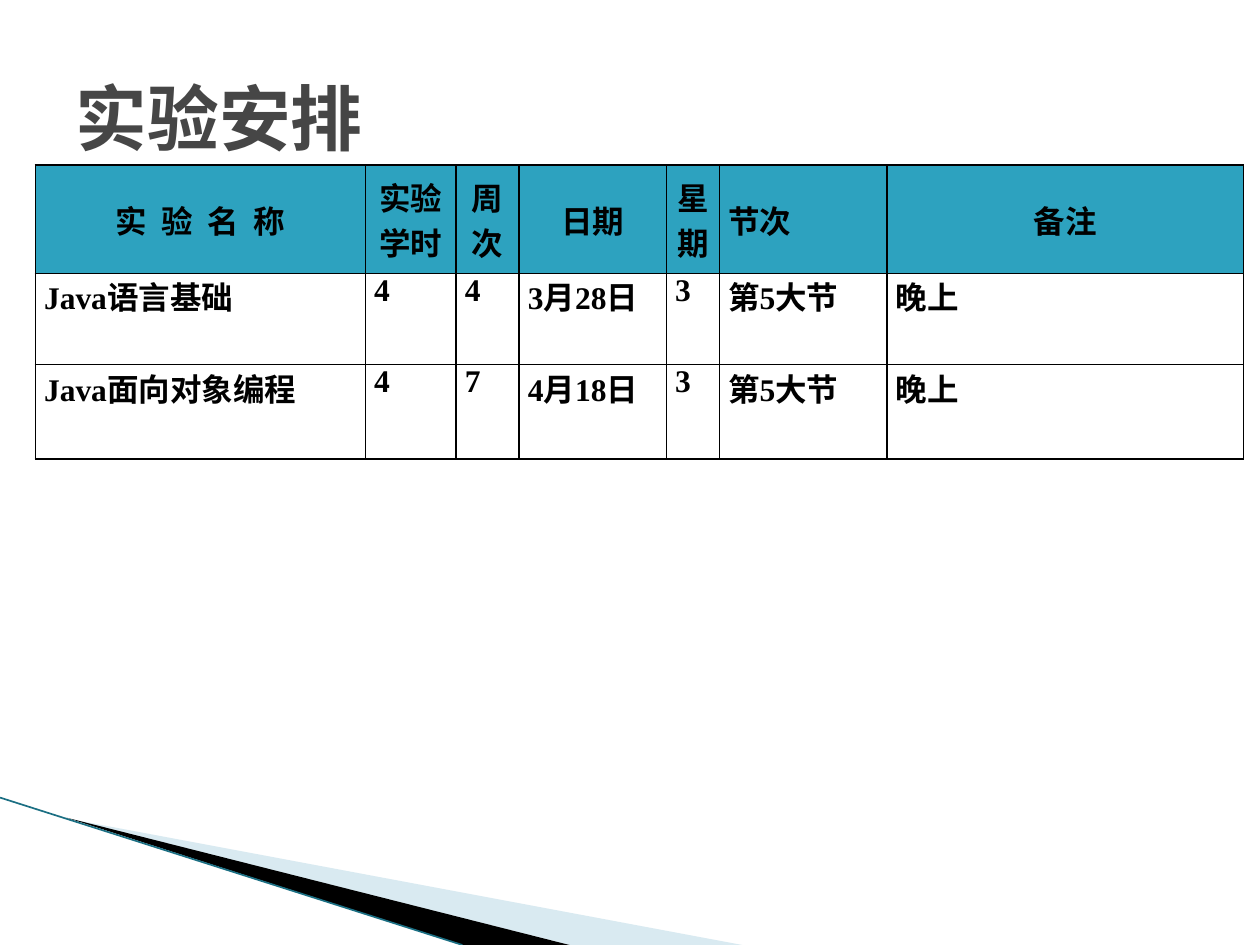
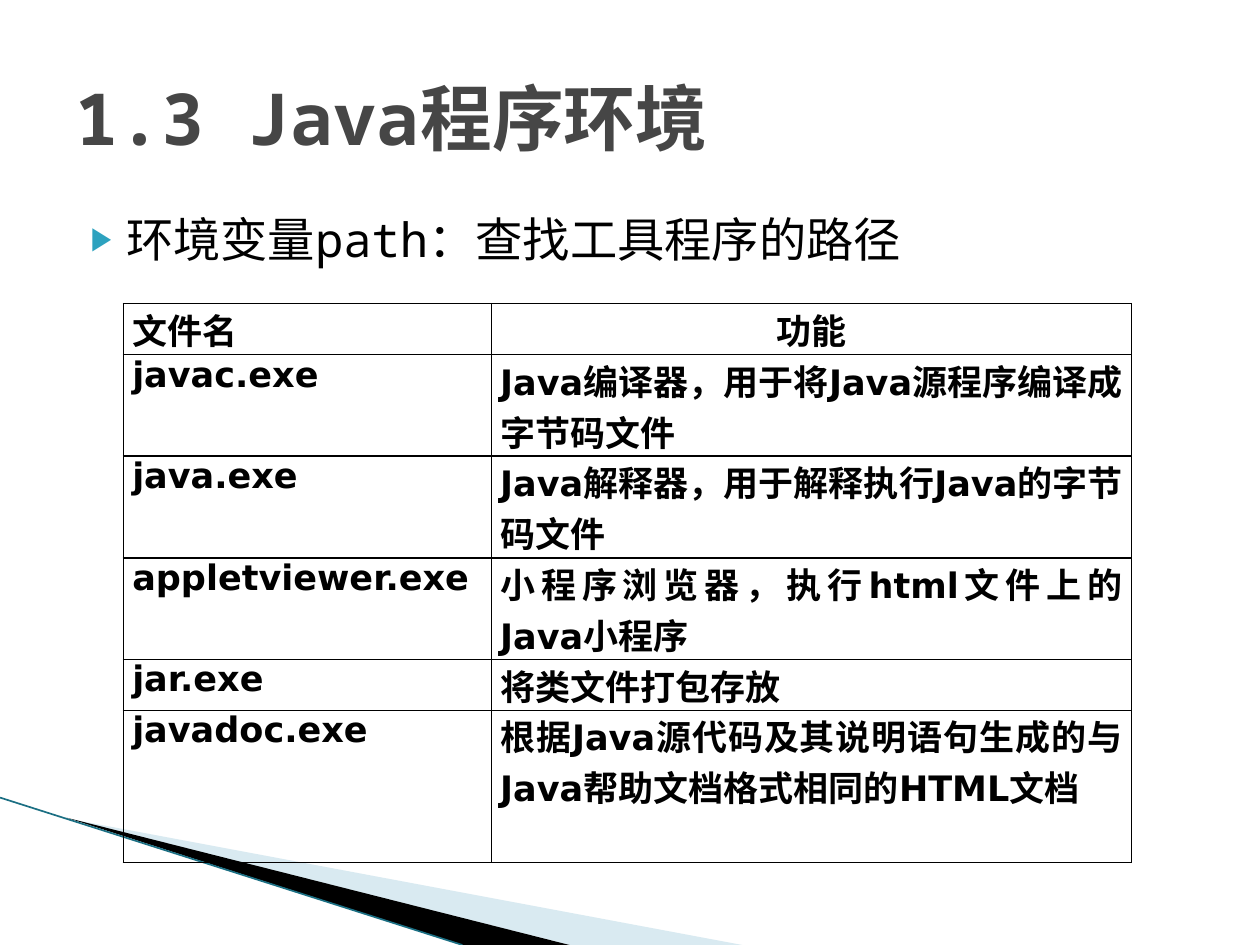
"""Build two course slides: the lab plan and the Java tools."""
from lxml import etree
from pptx import Presentation
from pptx.dml.color import RGBColor
from pptx.enum.lang import MSO_LANGUAGE_ID
from pptx.enum.shapes import MSO_CONNECTOR
from pptx.enum.text import MSO_ANCHOR, MSO_AUTO_SIZE, PP_ALIGN
from pptx.oxml.ns import qn
from pptx.util import Inches, Pt

LEFT, CENTER, JUSTIFY = PP_ALIGN.LEFT, PP_ALIGN.CENTER, PP_ALIGN.JUSTIFY
TOP, MIDDLE = MSO_ANCHOR.TOP, MSO_ANCHOR.MIDDLE
FIXED = MSO_AUTO_SIZE.NONE
STRAIGHT = MSO_CONNECTOR.STRAIGHT
CHINESE = MSO_LANGUAGE_ID.SIMPLIFIED_CHINESE

BLACK = RGBColor(0x00, 0x00, 0x00)
GREY = RGBColor(0x46, 0x46, 0x46)
TEAL = RGBColor(0x2D, 0xA2, 0xBF)
DEEP = RGBColor(0x1B, 0x6F, 0x83)
PALE = RGBColor(0xA0, 0xCB, 0xDC)

MONO, SERIF, SANS = "Noto Sans Mono", "Times New Roman", "DejaVu Sans"
TITLE_BOX = (0.5, 0.3, 9, 1.25)
BODY_BOX = (0.5, 1.62, 9, 4.95)
WEDGES = [
    (PALE, 40, [(0.55, 6.5), (5.89, 7.5), (4.52, 7.5)]),
    (BLACK, 100, [(0.53, 6.49), (4.52, 7.5), (3.67, 7.5)]),
]
EDGE = (0, 6.33, 3.67, 7.5)

LABS = {
    "title": "实验安排",
    "points": [],
    "at": (0.28, 1.31),
    "cols": [2.62, 0.72, 0.5, 1.17, 0.42, 1.33, 2.83],
    "rows": [0.86, 0.72, 0.75],
    "font": (SERIF, 18),
    "fill": TEAL,
    "anchor": MIDDLE,
    "heads": [CENTER] * 5 + [JUSTIFY, CENTER],
    "cells": [
        ["实  验  名  称", "实验\n学时", "周次", "日期", "星期", "节次", "备注"],
        ["Java语言基础", "4", "4", "3月28日", "3", "第5大节", "晚上"],
        ["Java面向对象编程", "4", "7", "4月18日", "3", "第5大节", "晚上"],
    ],
}
TOOLS = {
    "title": "1.3 Java程序环境",
    "points": ["环境变量path：查找工具程序的路径"],
    "at": (0.98, 2.41),
    "cols": [2.92, 5.08],
    "rows": [0.35, 0.67, 0.67, 0.67, 0.35, 0.7],
    "font": (SANS, 20),
    "fill": None,
    "anchor": TOP,
    "heads": [JUSTIFY, CENTER],
    "cells": [
        ["文件名", "功能"],
        ["javac.exe", "Java编译器，用于将Java源程序编译成字节码文件"],
        ["java.exe", "Java解释器，用于解释执行Java的字节码文件"],
        ["appletviewer.exe", "小程序浏览器，执行html文件上的Java小程序"],
        ["jar.exe", "将类文件打包存放"],
        ["javadoc.exe", "根据Java源代码及其说明语句生成的与Java帮助文档格式相同的HTML文档"],
    ],
}


def write(frame, lines, name, size, color, bold, align):
    for i, line in enumerate(lines):
        para = frame.add_paragraph() if i else frame.paragraphs[0]
        para.alignment = align
        run = para.add_run()
        run.text = line
        font = run.font
        font.name, font.size, font.bold = name, Pt(size), bold
        font.color.rgb = color
        font.language_id = CHINESE


def place(shape, box):
    shape.left, shape.top, shape.width, shape.height = map(Inches, box)
    shape.text_frame.auto_size = FIXED
    shape.text_frame.word_wrap = True


def add_band(slide):
    for color, alpha, dots in WEDGES:
        dots = [(Inches(x), Inches(y)) for x, y in dots]
        pen = slide.shapes.build_freeform(*dots[0])
        pen.add_line_segments(dots[1:])
        wedge = pen.convert_to_shape()
        wedge.shadow.inherit = False
        wedge.line.fill.background()
        wedge.fill.solid()
        wedge.fill.fore_color.rgb = color
        tint = wedge.fill._xPr.find(".//" + qn("a:srgbClr"))
        etree.SubElement(tint, qn("a:alpha"), val=str(alpha * 1000))
    edge = slide.shapes.add_connector(STRAIGHT, *map(Inches, EDGE))
    edge.line.color.rgb = DEEP
    edge.line.width = Pt(0.95)
    etree.SubElement(edge._element.spPr, qn("a:effectLst"))


def add_points(shape, points):
    place(shape, BODY_BOX)
    write(shape.text_frame, points, MONO, 27, BLACK, False, LEFT)
    for para in shape.text_frame.paragraphs:
        para.space_before = Pt(4)
        props = para._p.get_or_add_pPr()
        props.set("marL", str(Inches(0.4)))
        props.set("indent", str(Inches(-0.28)))
        tint = etree.SubElement(props, qn("a:buClr"))
        etree.SubElement(tint, qn("a:srgbClr"), val=str(TEAL))
        etree.SubElement(props, qn("a:buSzPct"), val="68000")
        etree.SubElement(props, qn("a:buChar"), char="▶")


def frame_cell(cell):
    props = cell._tc.get_or_add_tcPr()
    for i, side in enumerate(("lnL", "lnR", "lnT", "lnB")):
        line = etree.Element(qn("a:" + side), w=str(Pt(1)))
        fill = etree.SubElement(line, qn("a:solidFill"))
        etree.SubElement(fill, qn("a:srgbClr"), val=str(BLACK))
        props.insert(i, line)


def add_grid(slide, data):
    cols, rows = data["cols"], data["rows"]
    box = (*data["at"], sum(cols), sum(rows))
    grid = slide.shapes.add_table(len(rows), len(cols), *map(Inches, box)).table
    grid.first_row = grid.horz_banding = False
    for col, width in zip(grid.columns, cols):
        col.width = Inches(width)
    for r, texts in enumerate(data["cells"]):
        grid.rows[r].height = Inches(rows[r])
        for c, text in enumerate(texts):
            cell = grid.cell(r, c)
            cell.margin_left = cell.margin_right = Inches(0.07)
            cell.margin_top = cell.margin_bottom = 0
            cell.vertical_anchor = TOP if r else data["anchor"]
            if data["fill"] and r == 0:
                cell.fill.solid()
                cell.fill.fore_color.rgb = data["fill"]
            else:
                cell.fill.background()
            frame_cell(cell)
            align = JUSTIFY if r else data["heads"][c]
            write(cell.text_frame, text.split("\n"), *data["font"], BLACK, True, align)


def add_page(deck, data):
    layout = deck.slide_layouts[1 if data["points"] else 5]
    slide = deck.slides.add_slide(layout)
    add_band(slide)
    title = slide.shapes.title
    place(title, TITLE_BOX)
    title.text_frame.vertical_anchor = MIDDLE
    write(title.text_frame, [data["title"]], MONO, 41, GREY, True, LEFT)
    if data["points"]:
        add_points(slide.placeholders[1], data["points"])
    add_grid(slide, data)


def main():
    deck = Presentation()
    deck.slide_width, deck.slide_height = Inches(10), Inches(7.5)
    for data in (LABS, TOOLS):
        add_page(deck, data)
    deck.save("out.pptx")


if __name__ == "__main__":
    main()
